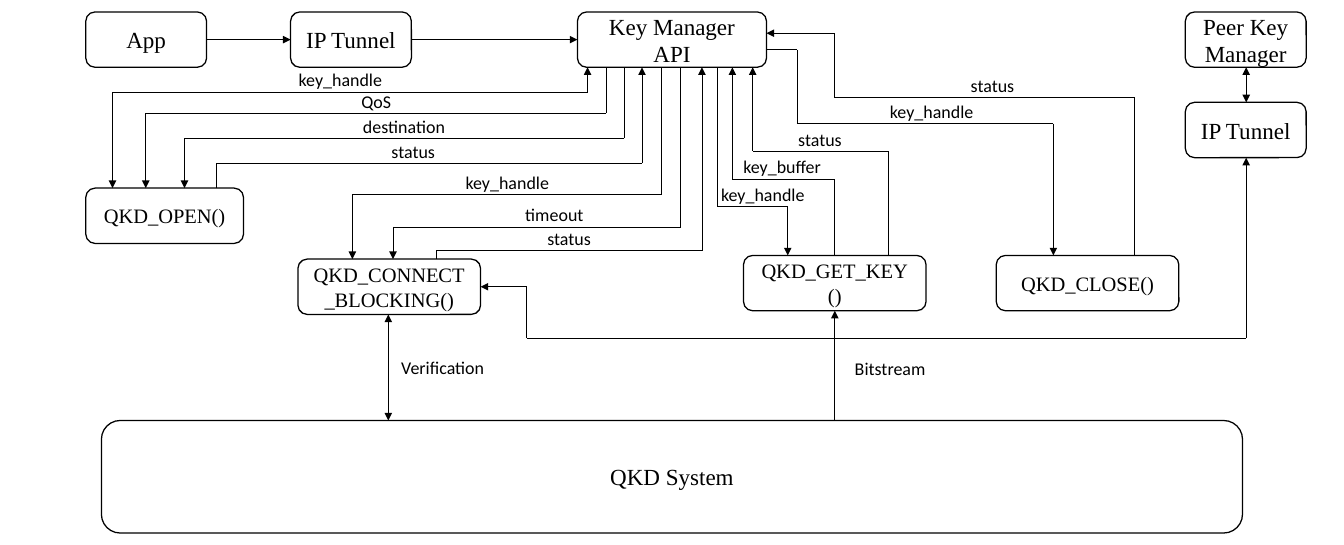
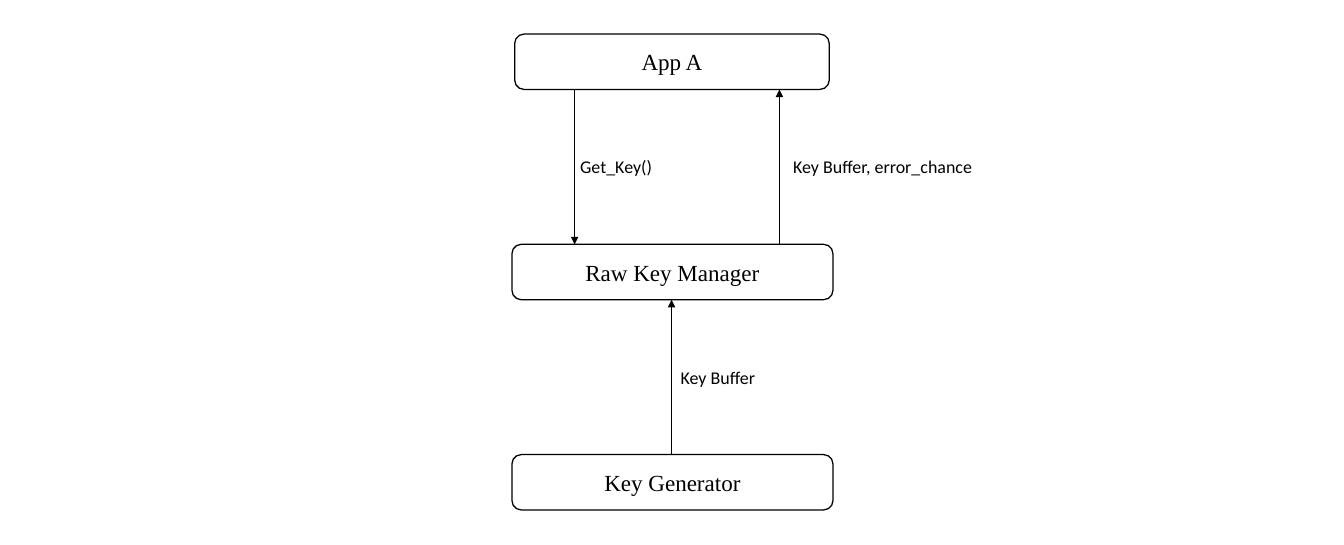
from dataclasses import dataclass
from itertools import pairwise

from lxml.etree import SubElement
from pptx import Presentation
from pptx.dml.color import RGBColor
from pptx.enum.shapes import MSO_CONNECTOR, MSO_SHAPE
from pptx.enum.text import MSO_ANCHOR, MSO_AUTO_SIZE, PP_ALIGN
from pptx.oxml.ns import qn
from pptx.util import Inches, Pt


@dataclass(frozen=True)
class Theme:
    """Shared look; positions count columns and rows of square cells."""
    cell: int = Inches(1)
    columns: float = 14.57
    rows: float = 5.91
    ink: RGBColor = RGBColor(0, 0, 0)
    paper: RGBColor = RGBColor(255, 255, 255)
    box_line: Pt = Pt(1)
    arrow_line: Pt = Pt(0.5)
    box_height: float = 0.6
    label_height: float = 0.34
    label_rise: float = 0.3  # from a lane up to the top of its label


THEME = Theme()
FONTS = {
    "box": {"name": "Times New Roman", "size": Pt(18)},
    "call": {"name": "Times New Roman", "size": Pt(16)},
    "label": {"name": "Calibri", "size": Pt(14)},
}
LABEL_WIDTHS = {
    "key_handle": 1.12, "QoS": 0.53, "destination": 1.11, "status": 0.68,
    "timeout": 0.84, "key_buffer": 1.06, "Verification": 1.11, "Bitstream": 0.98,
}


@dataclass(frozen=True)
class Box:
    text: str
    left: float
    top: float
    width: float
    height: float = THEME.box_height
    style: str = "box"

    @property
    def right(self):
        return self.left + self.width

    @property
    def bottom(self):
        return self.top + self.height

    @property
    def middle(self):
        return self.top + self.height / 2


def grid(*counts):
    return [round(count * THEME.cell) for count in counts]


def write_text(frame, text, style, alignment):
    frame.text = text
    for paragraph in frame.paragraphs:
        paragraph.alignment = alignment
        for run in paragraph.runs:
            for name, value in FONTS[style].items():
                setattr(run.font, name, value)
            run.font.color.rgb = THEME.ink


def draw_box(slide, box):
    shape = slide.shapes.add_shape(
        MSO_SHAPE.ROUNDED_RECTANGLE,
        *grid(box.left, box.top, box.width, box.height))
    shape.shadow.inherit = False
    shape.fill.solid()
    shape.fill.fore_color.rgb = THEME.paper
    shape.line.color.rgb = THEME.ink
    shape.line.width = THEME.box_line
    shape.text_frame.vertical_anchor = MSO_ANCHOR.MIDDLE
    write_text(shape.text_frame, box.text, box.style, PP_ALIGN.CENTER)


def draw_label(slide, text, left, top, width, wrap=True, alignment=PP_ALIGN.LEFT):
    shape = slide.shapes.add_textbox(*grid(left, top, width, THEME.label_height))
    shape.text_frame.word_wrap = wrap
    shape.text_frame.auto_size = MSO_AUTO_SIZE.SHAPE_TO_FIT_TEXT
    write_text(shape.text_frame, text, "label", alignment)


def draw_centred_label(slide, text, centre, top):
    width = LABEL_WIDTHS[text]
    draw_label(slide, text, centre - width / 2, top, width, False, PP_ALIGN.CENTER)


def draw_route(slide, points, both_ends=False):
    """Join the points with straight lines; the arrowhead is at the last one."""
    segments = list(pairwise(points))
    for index, (start, end) in enumerate(segments):
        connector = slide.shapes.add_connector(
            MSO_CONNECTOR.STRAIGHT, *grid(*start, *end))
        connector.line.color.rgb = THEME.ink
        connector.line.width = THEME.arrow_line
        properties = connector._element.spPr
        outline = properties.find(qn("a:ln"))
        if both_ends and index == 0:
            SubElement(outline, qn("a:headEnd"), type="triangle")
        if index == len(segments) - 1:
            SubElement(outline, qn("a:tailEnd"), type="triangle")
        SubElement(properties, qn("a:effectLst"))


def draw_flow(slide, api, call, label, centre, port, lane, call_port, ends):
    """Link the API's lower edge to a call's upper edge along one lane."""
    points = [(port, api.bottom), (port, lane), (call_port, lane), (call_port, call.top)]
    if ends == "up":
        points.reverse()
    draw_route(slide, points, ends == "both")
    draw_centred_label(slide, label, centre, lane - THEME.label_rise)


def build_key_manager_slide(slide):
    # Boxes
    app = Box("App", 0.93, 0.13, 1.31)
    tunnel = Box("IP Tunnel", 3.15, 0.13, 1.31)
    api = Box("Key Manager API", 6.26, 0.13, 2.05)
    peer = Box("Peer Key Manager", 12.85, 0.13, 1.31)
    peer_tunnel = Box("IP Tunnel", 12.85, 1.11, 1.31)
    open_call = Box("QKD_OPEN()", 0.93, 2.04, 1.71, style="call")
    connect = Box("QKD_CONNECT_BLOCKING()", 3.23, 2.81, 1.98, style="call")
    get_key = Box("QKD_GET_KEY\n()", 8.06, 2.77, 1.98, style="call")
    close = Box("QKD_CLOSE()", 10.8, 2.77, 1.98, style="call")
    system = Box("QKD System", 1.1, 4.56, 12.37, 1.22)
    for box in (app, tunnel, api, peer, peer_tunnel, open_call, connect,
                get_key, close, system):
        draw_box(slide, box)

    # Top row
    for source, target in ((app, tunnel), (tunnel, api)):
        draw_route(slide, [(source.right, source.middle), (target.left, target.middle)])

    # Call, label, label centre, API port, lane, call port, arrow ends
    flows = (
        (open_call, "key_handle", 3.69, 6.37, 1, 1.22, "both"),
        (open_call, "QoS", 4.08, 6.57, 1.23, 1.58, "down"),
        (open_call, "destination", 4.38, 6.77, 1.5, 2, "down"),
        (open_call, "status", 4.48, 6.96, 1.77, 2.35, "up"),
        (connect, "key_handle", 5.5, 7.17, 2.11, 3.82, "down"),
        (connect, "timeout", 6.01, 7.38, 2.46, 4.26, "down"),
        (connect, "status", 6.17, 7.61, 2.72, 4.73, "up"),
        (get_key, "key_handle", 8.27, 7.78, 2.24, 8.54, "down"),
        (get_key, "key_buffer", 8.48, 7.94, 1.94, 9.05, "up"),
        (get_key, "status", 8.89, 8.16, 1.64, 9.63, "up"),
    )
    for flow in flows:
        draw_flow(slide, api, *flow)

    # Close call, joined to the API's right side
    draw_route(slide, [(api.right, 0.54), (8.64, 0.54), (8.64, 1.34),
                       (11.42, 1.34), (11.42, close.top)])
    draw_centred_label(slide, "key_handle", 10.1, 1.34 - THEME.label_rise)
    draw_route(slide, [(12.3, close.top), (12.3, 1.06), (9.05, 1.06),
                       (9.05, 0.36), (api.right, 0.36)])
    draw_centred_label(slide, "status", 10.76, 1.06 - THEME.label_rise)

    # Peer side
    peer_axis = 13.51
    draw_route(slide, [(peer_axis, peer.bottom), (peer_axis, peer_tunnel.top)], True)
    draw_route(slide, [(peer_axis, peer_tunnel.bottom), (peer_axis, 3.67), (5.71, 3.67),
                       (5.71, connect.middle), (connect.right, connect.middle)], True)

    # Links to the system
    draw_route(slide, [(4.21, connect.bottom), (4.21, system.top)], True)
    draw_centred_label(slide, "Verification", 4.8, 3.82)
    draw_route(slide, [(9.05, system.top), (9.05, get_key.bottom)])
    draw_centred_label(slide, "Bitstream", 9.65, 3.83)


def build_raw_key_slide(slide):
    # Boxes, one every 2.28 rows
    app, manager, generator = (
        Box(text, left, 0.37 + index * 2.28, width)
        for index, (text, left, width) in enumerate((
            ("App A", 5.58, 3.41),
            ("Raw Key Manager", 5.55, 3.48),
            ("Key Generator", 5.55, 3.48))))
    for box in (app, manager, generator):
        draw_box(slide, box)

    # Arrows
    for column, start, end in ((6.23, app.bottom, manager.top),
                               (8.45, manager.top, app.bottom),
                               (7.28, generator.top, manager.bottom)):
        draw_route(slide, [(column, start), (column, end)])

    # Labels
    for text, left, top, width in (("Get_Key()", 6.19, 1.64, 1.62),
                                   ("Key Buffer, error_chance", 8.5, 1.64, 2.22),
                                   ("Key Buffer", 7.28, 3.93, 1.62)):
        draw_label(slide, text, left, top, width)


def main():
    presentation = Presentation()
    presentation.slide_width, presentation.slide_height = grid(THEME.columns, THEME.rows)
    blank_layout = presentation.slide_layouts[6]
    for build in (build_key_manager_slide, build_raw_key_slide):
        build(presentation.slides.add_slide(blank_layout))
    presentation.save("out.pptx")


if __name__ == "__main__":
    main()
